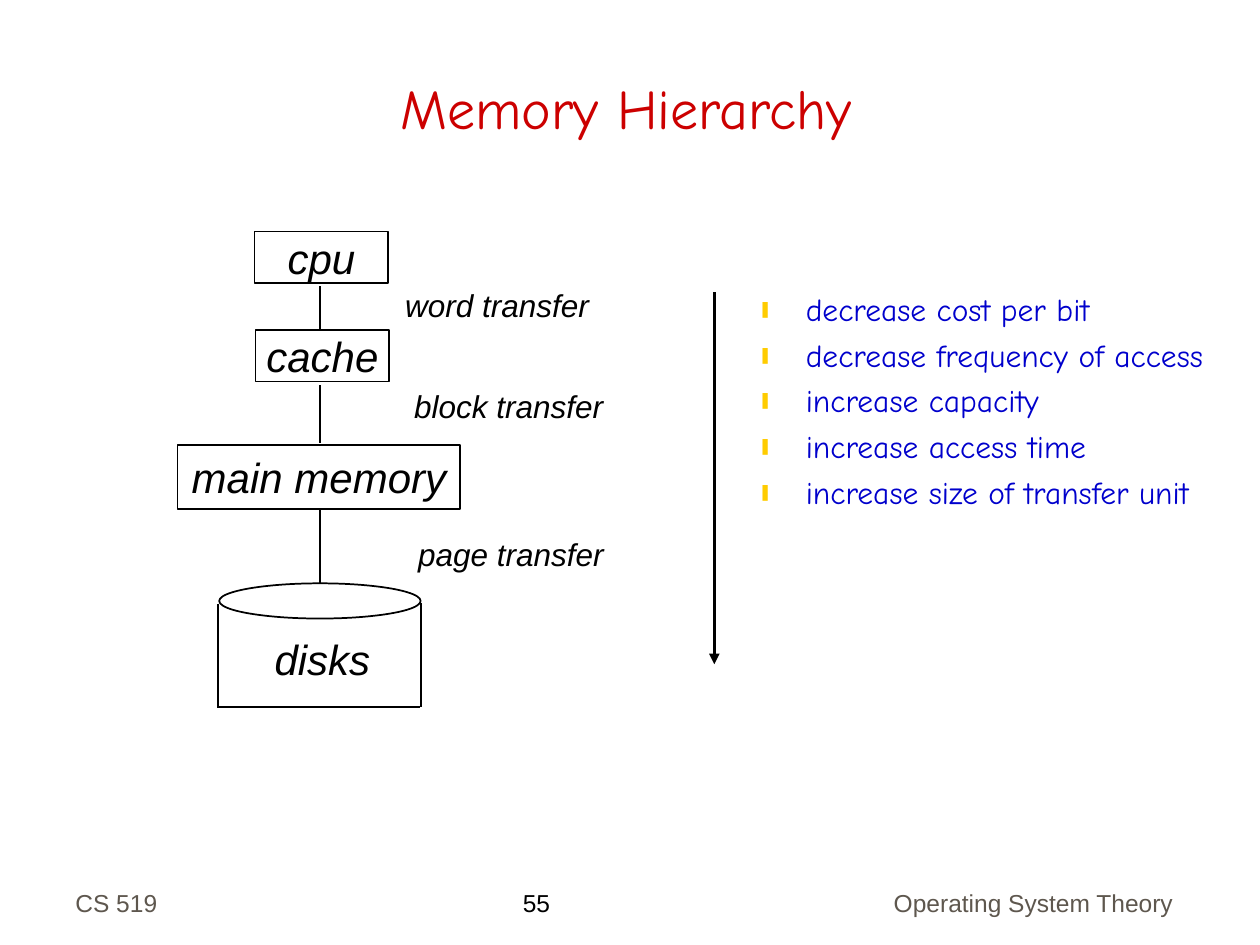
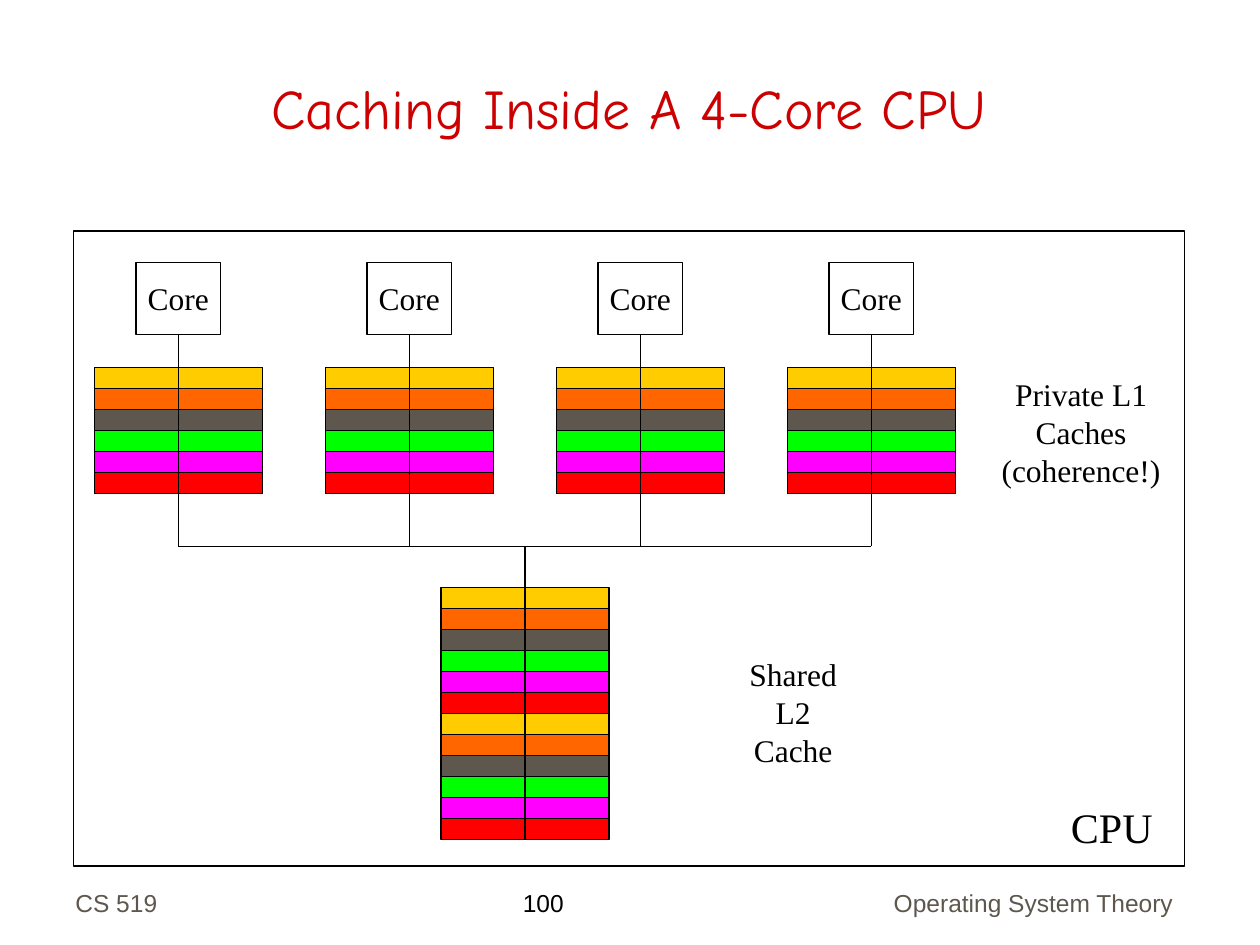
from lxml.etree import SubElement
from pptx import Presentation
from pptx.dml.color import RGBColor
from pptx.enum.shapes import MSO_CONNECTOR, MSO_SHAPE
from pptx.enum.text import MSO_ANCHOR, MSO_AUTO_SIZE, PP_ALIGN
from pptx.oxml.ns import qn
from pptx.util import Cm, Pt

BLACK, WHITE, GREY = "000000", "FFFFFF", "5E574E"
RED, BLUE, GOLD = "CC0000", "0000CC", "FFCC00"
CACHE_COLOURS = [GOLD, "FF6600", GREY, "00FF00", "FF00FF", "FF0000"]
SANS, SERIF, COMIC = "Arial", "Times New Roman", "Comic Neue"
LEFT, CENTER, RIGHT = PP_ALIGN.LEFT, PP_ALIGN.CENTER, PP_ALIGN.RIGHT
TOP, MIDDLE, BOTTOM = MSO_ANCHOR.TOP, MSO_ANCHOR.MIDDLE, MSO_ANCHOR.BOTTOM
colour = RGBColor.from_string


def add_box(slide, left, top, width, height, text="", size=18, font=SERIF, ink=BLACK,
            italic=False, align=CENTER, anchor=MIDDLE, fill=None, line=None,
            preset=MSO_SHAPE.RECTANGLE):
    """Add an outlined shape, or a plain text box when no line width is given."""
    place = Cm(left), Cm(top), Cm(width), Cm(height)
    if line is None:
        shape = slide.shapes.add_textbox(*place)
    else:
        shape = slide.shapes.add_shape(preset, *place)
        shape.shadow.inherit = False
        shape.line.color.rgb = colour(BLACK)
        shape.line.width = Pt(line)
        if fill:
            shape.fill.solid()
            shape.fill.fore_color.rgb = colour(fill)
        else:
            shape.fill.background()
    if text:
        frame = shape.text_frame
        frame.text = text
        frame.word_wrap = align != CENTER
        frame.vertical_anchor = anchor
        for paragraph in frame.paragraphs:
            paragraph.alignment = align
            for run in paragraph.runs:
                run.font.name, run.font.size, run.font.italic = font, Pt(size), italic
                run.font.color.rgb = colour(ink)


def add_line(slide, x1, y1, x2, y2, width, arrow=False):
    line = slide.shapes.add_connector(MSO_CONNECTOR.STRAIGHT, Cm(x1), Cm(y1), Cm(x2), Cm(y2))
    line.line.color.rgb = colour(BLACK)
    line.line.width = Pt(width)
    properties = line._element.spPr
    if arrow:
        SubElement(properties.find(qn("a:ln")), qn("a:tailEnd"), type="triangle")
    SubElement(properties, qn("a:effectLst"))


presentation = Presentation()
presentation.slide_width, presentation.slide_height = Cm(25.4), Cm(19.05)

# Titles and footers of both slides
for layout, title_text, number, left, width in [
    (1, "Memory Hierarchy", "55", 1.12, 23.01),
    (5, "Caching Inside A 4-Core CPU", "100", 1.47, 22.43),
]:
    slide = presentation.slides.add_slide(presentation.slide_layouts[layout])
    title = slide.shapes.title
    title.left, title.top, title.width, title.height = Cm(left), Cm(0.5), Cm(width), Cm(2.46)
    title.text_frame.text = title_text
    title.text_frame.vertical_anchor = BOTTOM
    title.text_frame.auto_size = MSO_AUTO_SIZE.NONE
    title.text_frame.paragraphs[0].alignment = CENTER
    title_font = title.text_frame.paragraphs[0].runs[0].font
    title_font.name, title_font.size = COMIC, Pt(32)
    title_font.color.rgb = colour(RED)
    add_box(slide, 10.29, 17.78, 2.77, 0.86, number, 14, SANS, align=LEFT, anchor=TOP)
    add_box(slide, 1.27, 17.35, 5.28, 1.27, "CS 519", 14, SANS, GREY, align=LEFT, anchor=BOTTOM)
    add_box(slide, 17.4, 17.35, 6.5, 1.27, "Operating System Theory", 14, SANS, GREY,
            align=RIGHT, anchor=BOTTOM)

hierarchy, multicore = presentation.slides

# Memory hierarchy: levels, links and the disk cylinder
for name, left, top, width, height in [
    ("cpu", 5.13, 4.67, 2.7, 1.04),
    ("cache", 5.15, 6.65, 2.7, 1.04),
    ("main memory", 3.58, 8.97, 5.7, 1.3),
]:
    add_box(hierarchy, left, top, width, height, name, 24, SANS, italic=True,
            fill=WHITE, line=1)
for top, bottom in [(5.77, 6.68), (7.77, 8.94), (10.29, 11.79)]:
    add_line(hierarchy, 6.45, top, 6.45, bottom, 1)
for name, left, top in [
    ("word transfer", 7.92, 5.64),
    ("block transfer", 8.1, 7.67),
    ("page transfer", 8.18, 10.67),
]:
    add_box(hierarchy, left, top, 5, 1.02, name, 18, SANS, italic=True, align=LEFT, anchor=TOP)

add_box(hierarchy, 4.42, 11.76, 4.06, 0.71, fill=WHITE, line=1, preset=MSO_SHAPE.OVAL)
add_line(hierarchy, 4.4, 12.17, 4.4, 14.27, 1)
add_line(hierarchy, 4.4, 14.25, 8.46, 14.25, 1)
add_line(hierarchy, 8.48, 12.15, 8.48, 14.25, 1)
add_box(hierarchy, 5.28, 12.65, 2.44, 1.27, "disks", 24, SANS, italic=True)

# Trends from top to bottom of the hierarchy
add_line(hierarchy, 14.4, 5.89, 14.4, 13.39, 2, arrow=True)
trends = hierarchy.placeholders[1]
trends.left, trends.top, trends.width, trends.height = Cm(15.04), Cm(5.72), Cm(10.11), Cm(6.22)
trends.text_frame.text = "\n".join([
    "decrease cost per bit",
    "decrease frequency of access",
    "increase capacity",
    "increase access time",
    "increase size of transfer unit",
])
trends.text_frame.auto_size = MSO_AUTO_SIZE.NONE
for index, paragraph in enumerate(trends.text_frame.paragraphs):
    paragraph.space_before = Pt(4.5 if index else 0)
    properties = paragraph._p.get_or_add_pPr()
    properties.set("marL", str(Cm(0.95)))
    properties.set("indent", str(-Cm(0.95)))
    SubElement(SubElement(properties, qn("a:buClr")), qn("a:srgbClr"), val=GOLD)
    SubElement(properties, qn("a:buSzPct"), val="50000")
    SubElement(properties, qn("a:buChar"), char="❚")
    font = paragraph.runs[0].font
    font.name, font.size = COMIC, Pt(18)
    font.color.rgb = colour(BLUE)

# Four cores with private caches, joined by a bus to the shared cache
ROW = 2.54 / 6
CACHE_WIDTH = 8 * ROW
CORE_PITCH = 11 * ROW
CORE_TOP, CORE_HEIGHT = 5.29, 1.45
L1_TOP, BUS_TOP, L2_TOP = 7.41, 11.01, 11.85
L1_LEFT, L2_LEFT = 1.9, 8.89
core_centres = [L1_LEFT + CACHE_WIDTH / 2 + core * CORE_PITCH for core in range(4)]
l2_centre = L2_LEFT + CACHE_WIDTH / 2

add_box(multicore, 1.48, 4.66, 22.4, 12.8, line=0.75)
caches = [(centre, L1_TOP, 1) for centre in core_centres] + [(l2_centre, L2_TOP, 2)]
for centre, top, repeats in caches:
    for row, fill in enumerate(CACHE_COLOURS * repeats):
        add_box(multicore, centre - CACHE_WIDTH / 2, top + row * ROW, CACHE_WIDTH, ROW,
                fill=fill, line=0.75)
for centre in core_centres:
    add_box(multicore, centre - 0.85, CORE_TOP, 1.7, CORE_HEIGHT, "Core", line=0.75)
    add_line(multicore, centre, CORE_TOP + CORE_HEIGHT, centre, BUS_TOP, 0.75)
add_line(multicore, core_centres[0], BUS_TOP, core_centres[-1], BUS_TOP, 0.75)
add_line(multicore, l2_centre, BUS_TOP, l2_centre, L2_TOP + 12 * ROW, 0.75)

add_box(multicore, 19.94, 7.44, 3.71, 2.54, "Private L1\nCaches\n(coherence!)")
add_box(multicore, 14.43, 13.46, 3.12, 1.78, "Shared L2\nCache")
add_box(multicore, 21.34, 16.03, 2.5, 1.24, "CPU", 24, align=LEFT, anchor=TOP)

presentation.save("out.pptx")
